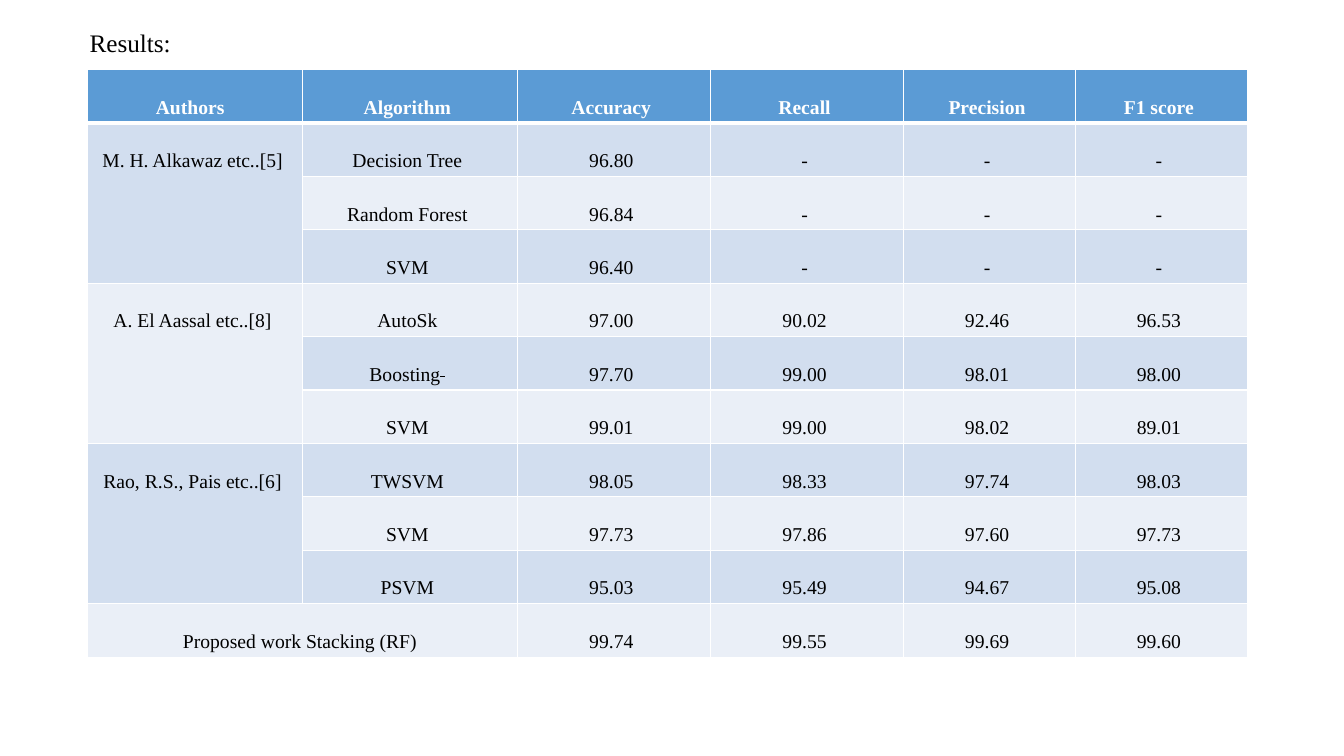
import pptx
import pptx.util
import pptx.dml.color
import pptx.enum.text
import pptx.oxml
import pptx.oxml.ns
import lxml.etree

WIDTH, HEIGHT = 13.33, 7.5
FONT = "Times New Roman"
NBSP = " "
HEADER, BAND_DARK, BAND_LIGHT = "5B9BD5", "D2DEEF", "EAEFF7"
COLUMN_UNITS = (10, 10, 9, 9, 8, 8)
GROUP_SIZE = 3
STRUCK = ("Boosting",)

HEADINGS = ("Authors" + NBSP, "Algorithm", "Accuracy", "Recall", "Precision", "F1 score")
RESULTS = (
    ("M. H. Alkawaz etc..[5]", "Decision Tree", "96.80", "-", "-", "-"),
    ("", "Random Forest", "96.84", "-", "-", "-"),
    ("", "SVM", "96.40", "-", "-", "-"),
    ("A. El Aassal etc..[8]", "AutoSk", "97.00", "90.02", "92.46", "96.53"),
    ("", "Boosting", "97.70", "99.00", "98.01", "98.00"),
    ("", "SVM", "99.01", "99.00", "98.02", "89.01"),
    ("Rao, R.S., Pais etc..[6]", "TWSVM", "98.05", "98.33", "97.74", "98.03"),
    ("", "SVM", "97.73", "97.86", "97.60", "97.73"),
    ("", "PSVM", "95.03", "95.49", "94.67", "95.08"),
    ("Proposed work Stacking (RF)", "", "99.74", "99.55", "99.69", "99.60"),
)


def across(percent):
    return pptx.util.Inches(WIDTH * percent / 100)


def down(percent):
    return pptx.util.Inches(HEIGHT * percent / 100)


def rgb(value):
    return pptx.dml.color.RGBColor.from_string(value)


def add_text(p, text, size=14, color="000000", bold=False, centered=False, strike=False):
    if centered:
        p.alignment = pptx.enum.text.PP_ALIGN.CENTER
    r = p.add_run()
    r.text = text
    r.font.name = FONT
    r.font.size = pptx.util.Pt(size)
    r.font.bold = bold
    r.font.color.rgb = rgb(color)
    if strike:
        r._r.get_or_add_rPr().set("strike", "sngStrike")


def add_borders(cell, top, bottom):
    tcPr = cell._tc.get_or_add_tcPr()
    for side, points in (("L", 1), ("R", 1), ("T", top), ("B", bottom)):
        ln = lxml.etree.SubElement(tcPr, pptx.oxml.ns.qn("a:ln" + side))
        ln.set("w", str(pptx.util.Pt(points)))
        fill = lxml.etree.SubElement(ln, pptx.oxml.ns.qn("a:solidFill"))
        lxml.etree.SubElement(fill, pptx.oxml.ns.qn("a:srgbClr")).set("val", "FFFFFF")


def fill_cell(cell, text, row):
    add_borders(cell, top=3 if row == 1 else 1, bottom=3 if row == 0 else 1)
    cell.fill.solid()
    band = BAND_DARK if row % 2 else BAND_LIGHT
    cell.fill.fore_color.rgb = rgb(band if row else HEADER)
    if cell.is_spanned:
        return
    cell.margin_top = pptx.util.Inches(0.27)
    cell.margin_bottom = pptx.util.Inches(0.03)
    cell.vertical_anchor = pptx.enum.text.MSO_ANCHOR.TOP
    p = cell.text_frame.paragraphs[0]
    style = dict(color="000000" if row else "FFFFFF", bold=row == 0, centered=True)
    add_text(p, text, **style)
    if text in STRUCK:
        add_text(p, NBSP, strike=True, **style)
    add_text(p, NBSP, **style)


def add_results_table(s, left, top, width, row_height):
    rows = (HEADINGS,) + RESULTS
    table = s.shapes.add_table(len(rows), len(HEADINGS), left, top,
                               width, row_height * len(rows)).table
    for column, units in zip(table.columns, COLUMN_UNITS):
        column.width = int(width * units / sum(COLUMN_UNITS))
    for row in table.rows:
        row.height = row_height
    last = len(rows) - 1
    for first in range(1, last, GROUP_SIZE):
        table.cell(first, 0).merge(table.cell(first + GROUP_SIZE - 1, 0))
    table.cell(last, 0).merge(table.cell(last, 1))
    for i, values in enumerate(rows):
        for j, text in enumerate(values):
            fill_cell(table.cell(i, j), text, i)


def add_title(s, text, left, top, width, height):
    tf = s.shapes.add_textbox(left, top, width, height).text_frame
    tf.word_wrap = True
    add_text(tf.paragraphs[0], text, size=18)


def main():
    prs = pptx.Presentation()
    prs.slide_width, prs.slide_height = across(100), down(100)
    s = prs.slides.add_slide(prs.slide_layouts[6])
    add_results_table(s, across(6.53), down(9.2), across(86.27), down(7.07))
    add_title(s, "Results:", across(5.93), down(2.93), across(29.86), down(5.33))
    prs.save("out.pptx")


if __name__ == "__main__":
    main()
